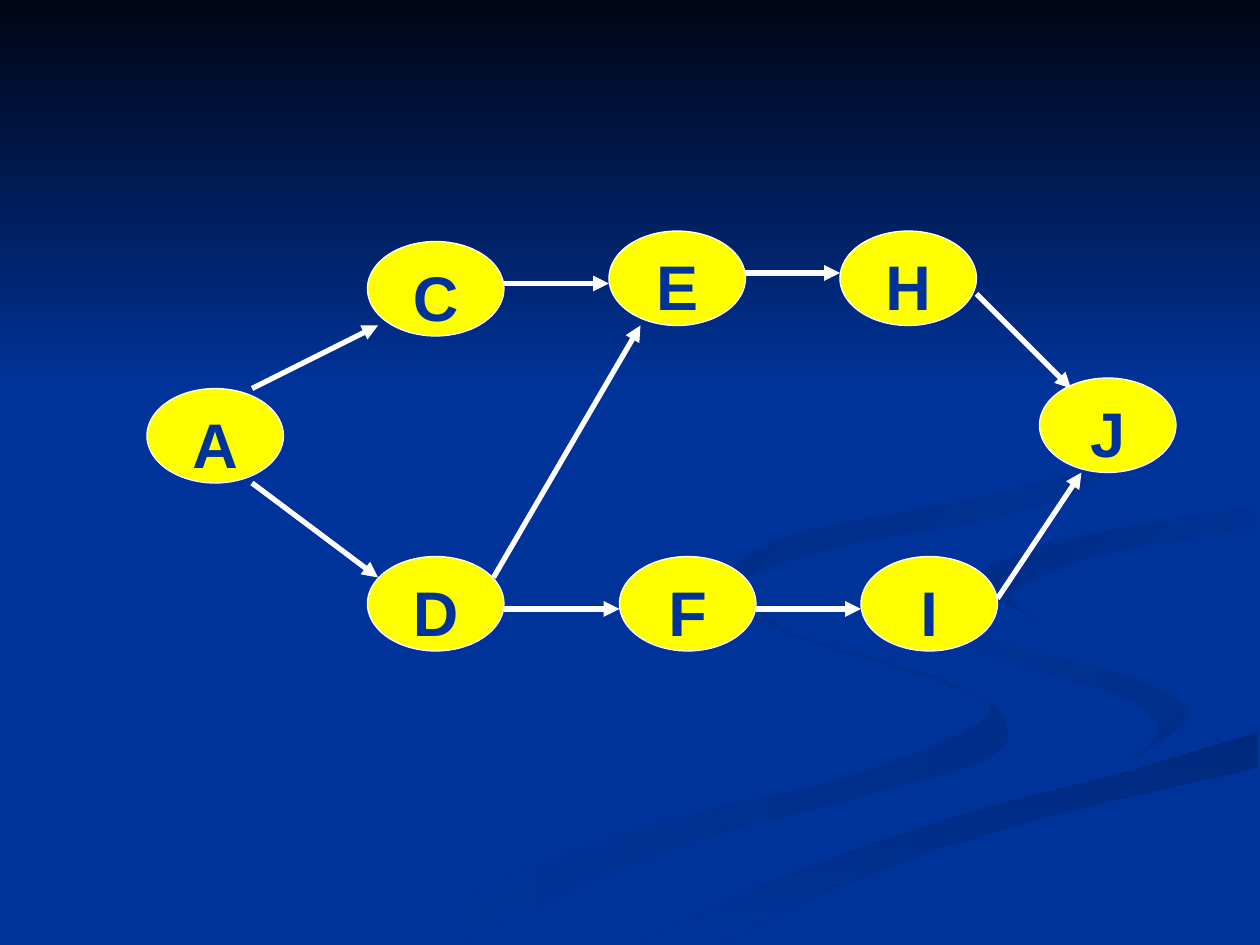
from dataclasses import dataclass
from typing import NamedTuple

from lxml import etree
from pptx import Presentation
from pptx import util as u
from pptx.dml.color import RGBColor
from pptx.enum import shapes, text
from pptx.oxml import ns


@dataclass(frozen=True)
class Theme:
    """Colours, font and type sizes of the slide."""
    ground: str = "003399"
    night: str = "000514"
    node: str = "FFFF00"
    edge: str = "FFFFFF"
    font: str = "Arial"
    label_size: float = 36
    label_gap: float = 22.5
    outline: float = 0.75
    arrow: float = 3


class Node(NamedTuple):
    """An activity and the grid cell of its upper left corner."""
    label: str
    col: int
    row: int


class Arrow(NamedTuple):
    """A dependency between two grid points."""
    col: int
    row: int
    end_col: int
    end_row: int


class Ribbon(NamedTuple):
    """A band between two curved edges, in hundredths of an inch."""
    start: str
    end: str
    angle: int
    outer: list
    inner: list


THEME = Theme()
WIDTH, HEIGHT = u.Inches(10), u.Inches(7.5)
COLS, ROWS = 120, 90
NODE_COLS, NODE_ROWS = 13, 9
HUNDREDTH = u.Inches(0.01)
CURVE_STEPS = 5

NODES = [Node("A", 14, 37), Node("C", 35, 23), Node("D", 35, 53), Node("E", 58, 22),
         Node("F", 59, 53), Node("H", 80, 22), Node("I", 82, 53), Node("J", 99, 36)]

ARROWS = [Arrow(24, 37, 36, 31), Arrow(24, 46, 36, 55), Arrow(48, 27, 58, 27),
          Arrow(47, 55, 61, 31), Arrow(48, 58, 59, 58), Arrow(71, 26, 80, 26),
          Arrow(93, 28, 102, 37), Arrow(72, 58, 82, 58), Arrow(95, 57, 103, 45)]

RIBBONS = [
    Ribbon("002E8A", THEME.ground, 180,
           [(575, 459), (587, 481), (642, 507), (745, 538), (795, 567), (786, 601),
            (676, 634), (532, 674), (361, 749)],
           [(575, 459), (572, 476), (631, 505), (741, 539), (786, 566), (684, 613),
            (539, 649), (417, 690), (300, 749)]),
    Ribbon("002E8A", THEME.ground, 225,
           [(724, 464), (745, 490), (811, 515), (905, 540), (943, 570), (894, 605)],
           [(724, 464), (739, 494), (797, 524), (892, 553), (918, 581), (894, 605)]),
    Ribbon("00297C", THEME.ground, 90,
           [(503, 749), (630, 693), (764, 647), (903, 610), (998, 581)],
           [(571, 749), (695, 692), (821, 651), (998, 609)]),
    Ribbon(THEME.ground, "002C85", 225,
           [(998, 402), (865, 424), (791, 447), (781, 463), (826, 496)],
           [(998, 420), (878, 439), (809, 466), (806, 480), (826, 496)]),
    Ribbon(THEME.ground, "002B81", 225,
           [(762, 233), (846, 279), (889, 335), (861, 370), (763, 398), (625, 426),
            (577, 462), (622, 500)],
           [(762, 233), (854, 283), (894, 344), (867, 384), (786, 412), (683, 430),
            (606, 452), (593, 470), (622, 500)]),
    Ribbon(THEME.night, THEME.ground, 90, [(0, 0), (1000, 0)], [(0, 308), (1000, 308)]),
]


def x(cols: float) -> int:
    """Turn grid columns into a length."""
    return round(WIDTH * cols / COLS)


def y(rows: float) -> int:
    """Turn grid rows into a length."""
    return round(HEIGHT * rows / ROWS)


def paint(fill, colour: str) -> None:
    """Give a fill one solid colour."""
    fill.solid()
    fill.fore_color.rgb = RGBColor.from_string(colour)


def curve(knots: list) -> list:
    """Run a Catmull-Rom curve through the knots."""
    padded = [knots[0], *knots, knots[-1]]
    points = []
    for quad in zip(padded, padded[1:], padded[2:], padded[3:]):
        for step in range(CURVE_STEPS):
            t = step / CURVE_STEPS
            points.append(tuple(
                b + t * ((c - a) + t * ((2 * a - 5 * b + 4 * c - d)
                                        + t * (3 * b - a - 3 * c + d))) / 2
                for a, b, c, d in zip(*quad)))
    return points + [knots[-1]]


def draw_ribbon(slide, ribbon: Ribbon) -> None:
    """Draw a background band with its gradient."""
    outline = curve(ribbon.outer) + curve(ribbon.inner)[::-1]
    builder = slide.shapes.build_freeform(*outline[0], scale=HUNDREDTH)
    builder.add_line_segments(outline[1:], close=True)
    band = builder.convert_to_shape()
    band.shadow.inherit = False
    band.line.fill.background()
    band.fill.gradient()
    band.fill.gradient_angle = 360 - ribbon.angle
    for stop, colour in zip(band.fill.gradient_stops, (ribbon.start, ribbon.end)):
        stop.color.rgb = RGBColor.from_string(colour)


def write(frame, content: str, *, size: float, colour: str, bold: bool, gap: float) -> None:
    """Write one centred, formatted paragraph."""
    frame.word_wrap = True
    frame.auto_size = text.MSO_AUTO_SIZE.SHAPE_TO_FIT_TEXT
    paragraph = frame.paragraphs[0]
    paragraph.alignment = text.PP_ALIGN.CENTER
    paragraph.space_before = u.Pt(gap)
    run = paragraph.add_run()
    run.text = content
    run.font.name, run.font.size, run.font.bold = THEME.font, u.Pt(size), bold
    run.font.color.rgb = RGBColor.from_string(colour)


def draw_node(slide, node: Node) -> None:
    """Draw an activity oval and its letter."""
    oval = slide.shapes.add_shape(shapes.MSO_SHAPE.OVAL, x(node.col), y(node.row),
                                  x(NODE_COLS), y(NODE_ROWS))
    oval.shadow.inherit = False
    paint(oval.fill, THEME.node)
    paint(oval.line.fill, THEME.edge)
    oval.line.width = u.Pt(THEME.outline)
    letter = slide.shapes.add_textbox(x(node.col + 3), y(node.row + 1), x(7), y(8.4))
    write(letter.text_frame, node.label, size=THEME.label_size, colour=THEME.ground,
          bold=True, gap=THEME.label_gap)


def draw_arrow(slide, arrow: Arrow) -> None:
    """Draw a dependency arrow."""
    link = slide.shapes.add_connector(shapes.MSO_CONNECTOR.STRAIGHT, x(arrow.col), y(arrow.row),
                                      x(arrow.end_col), y(arrow.end_row))
    paint(link.line.fill, THEME.edge)
    link.line.width = u.Pt(THEME.arrow)
    properties = link._element.spPr
    etree.SubElement(properties.find(ns.qn("a:ln")), ns.qn("a:tailEnd"), type="triangle")
    etree.SubElement(properties, ns.qn("a:effectLst"))


def main() -> None:
    """Build the activity network slide."""
    deck = Presentation()
    deck.slide_width, deck.slide_height = WIDTH, HEIGHT
    slide = deck.slides.add_slide(deck.slide_layouts[6])
    paint(slide.background.fill, THEME.ground)
    for draw, parts in ((draw_ribbon, RIBBONS), (draw_node, NODES), (draw_arrow, ARROWS)):
        for part in parts:
            draw(slide, part)
    deck.save("out.pptx")


if __name__ == "__main__":
    main()
